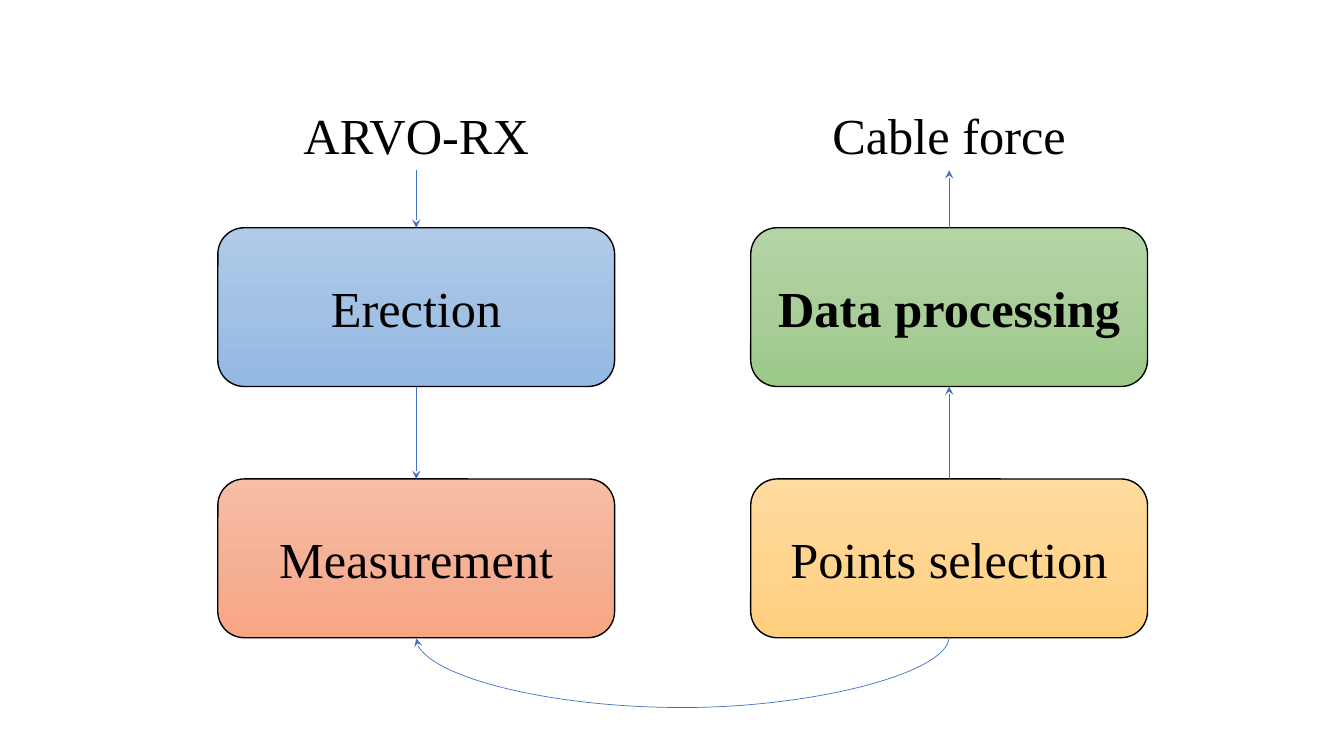
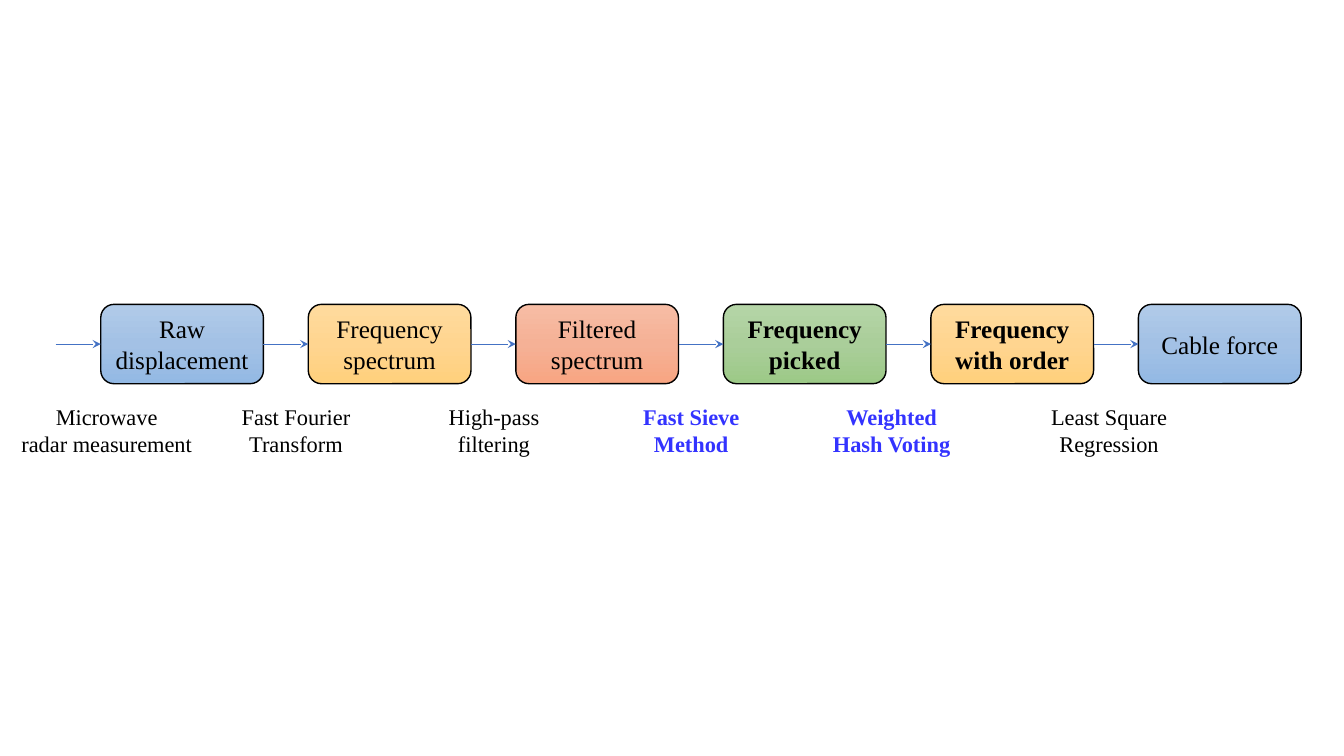
"""Build two flow diagrams about cable force measurement."""
from copy import deepcopy
from dataclasses import dataclass
from itertools import pairwise

from lxml import etree
from pptx import Presentation
from pptx.dml.color import RGBColor
from pptx.enum.shapes import MSO_CONNECTOR, MSO_SHAPE
from pptx.enum.text import MSO_ANCHOR, MSO_AUTO_SIZE, PP_ALIGN
from pptx.oxml.ns import qn
from pptx.shapes.autoshape import Shape
from pptx.shapes.connector import Connector
from pptx.slide import Slide
from pptx.util import Cm, Pt

ROUNDED = MSO_SHAPE.ROUNDED_RECTANGLE
STRAIGHT = MSO_CONNECTOR.STRAIGHT
CURVE = MSO_CONNECTOR.CURVE
MIDDLE = MSO_ANCHOR.MIDDLE
CENTER = PP_ALIGN.CENTER
FIT_SHAPE = MSO_AUTO_SIZE.SHAPE_TO_FIT_TEXT
TOP, LEFT, BOTTOM, RIGHT = range(4)

FONT = "Times New Roman"
BLACK = RGBColor(0x00, 0x00, 0x00)
ARROW_BLUE = RGBColor(0x44, 0x72, 0xC4)
ACCENT_BLUE = RGBColor(0x33, 0x33, 0xFF)

Gradient = tuple[RGBColor, RGBColor, RGBColor]
BLUE = (RGBColor(0xB1, 0xCB, 0xE9), RGBColor(0xA3, 0xC1, 0xE5), RGBColor(0x93, 0xB9, 0xE4))
GREEN = (RGBColor(0xB5, 0xD5, 0xA7), RGBColor(0xAA, 0xCE, 0x9A), RGBColor(0x9C, 0xC9, 0x87))
ORANGE = (RGBColor(0xF7, 0xBD, 0xA5), RGBColor(0xF5, 0xB1, 0x96), RGBColor(0xF8, 0xA5, 0x82))
YELLOW = (RGBColor(0xFF, 0xDB, 0x9E), RGBColor(0xFF, 0xD5, 0x90), RGBColor(0xFF, 0xD0, 0x7C))


@dataclass(frozen=True)
class Area:
    """A rectangle in centimetres."""

    left: float
    top: float
    width: float
    height: float

    def lengths(self) -> tuple[Cm, Cm, Cm, Cm]:
        """Return the rectangle as lengths."""
        return Cm(self.left), Cm(self.top), Cm(self.width), Cm(self.height)


@dataclass(frozen=True)
class Step:
    """A box of a flow diagram."""

    text: str
    gradient: Gradient
    bold: bool = False


@dataclass(frozen=True)
class Caption:
    """A method named below an arrow."""

    text: str
    center: float
    width: float
    color: RGBColor = BLACK
    bold: bool = False


COLUMN_LEFTS = (5.49, 18.92)
ROW_TOPS = (5.74, 12.07)
BOX_WIDTH, BOX_HEIGHT = 10.0, 4.0
HEADING_TOP, HEADING_HEIGHT = 2.49, 1.8
CURVE_OFFSET, CURVE_DEPTH = 0.04, 1.78
COLUMNS = (
    ("ARVO-RX", Step("Erection", BLUE), Step("Measurement", ORANGE)),
    ("Cable force", Step("Data processing", GREEN, True), Step("Points selection", YELLOW)),
)

CHAIN_LEFT, CHAIN_TOP, CHAIN_PITCH = 2.54, 7.67, 5.23
CHAIN_WIDTH, CHAIN_HEIGHT = 4.1, 2.0
ENTRY_LEFT = 1.4
CAPTION_TOP, CAPTION_HEIGHT = 10.03, 1.63
CHAIN = (
    Step("Raw displacement", BLUE),
    Step("Frequency spectrum", YELLOW),
    Step("Filtered spectrum", ORANGE),
    Step("Frequency picked", GREEN, True),
    Step("Frequency with order", YELLOW, True),
    Step("Cable force", BLUE),
)
CAPTIONS = (
    Caption("Microwave\vradar measurement", 2.69, 4.83),
    Caption("Fast Fourier Transform", 7.46, 3.84),
    Caption("High-pass filtering", 12.45, 3.3),
    Caption("Fast Sieve Method", 17.42, 2.95, ACCENT_BLUE, True),
    Caption("Weighted Hash Voting", 22.47, 3.84, ACCENT_BLUE, True),
    Caption("Least Square Regression", 27.95, 3.84),
)


def write_text(shape: Shape, text: str, size: int, color: RGBColor, bold: bool) -> None:
    """Write centred text into a shape."""
    text_frame = shape.text_frame
    text_frame.word_wrap = True
    text_frame.text = text
    paragraph = text_frame.paragraphs[0]
    paragraph.alignment = CENTER
    for run in paragraph.runs:
        run.font.name = FONT
        run.font.size = Pt(size)
        run.font.bold = bold
        run.font.color.rgb = color


def add_label(slide: Slide, area: Area, text: str, size: int,
              color: RGBColor = BLACK, bold: bool = False) -> Shape:
    """Add a text box."""
    label = slide.shapes.add_textbox(*area.lengths())
    write_text(label, text, size, color, bold)
    label.text_frame.auto_size = FIT_SHAPE
    return label


def fill_gradient(shape: Shape, gradient: Gradient) -> None:
    """Fill a shape from top to bottom with three colours."""
    shape.fill.gradient()
    shape.fill.gradient_angle = 270
    stop_list = shape._element.spPr.find(".//" + qn("a:gsLst"))
    stop_list.insert(1, deepcopy(stop_list[0]))
    for index, (stop, color) in enumerate(zip(shape.fill.gradient_stops, gradient)):
        stop.position = index / 2
        stop.color.rgb = color


def add_step(slide: Slide, area: Area, step: Step, size: int) -> Shape:
    """Add a rounded box with its name."""
    box = slide.shapes.add_shape(ROUNDED, *area.lengths())
    box.shadow.inherit = False
    fill_gradient(box, step.gradient)
    box.line.color.rgb = BLACK
    box.line.width = Pt(1)
    write_text(box, step.text, size, BLACK, step.bold)
    box.text_frame.vertical_anchor = MIDDLE
    return box


def style_arrow(connector: Connector) -> None:
    """Give a connector its line and arrowhead."""
    connector.line.color.rgb = ARROW_BLUE
    connector.line.width = Pt(0.5)
    line = connector.line._get_or_add_ln()
    etree.SubElement(line, qn("a:tailEnd"), type="stealth")
    etree.SubElement(connector._element.spPr, qn("a:effectLst"))


def connect(slide: Slide, start: Shape, start_site: int, end: Shape, end_site: int,
            kind: MSO_CONNECTOR = STRAIGHT) -> Connector:
    """Join two shapes with an arrow."""
    connector = slide.shapes.add_connector(kind, 0, 0, 0, 0)
    connector.begin_connect(start, start_site)
    connector.end_connect(end, end_site)
    style_arrow(connector)
    return connector


def connect_below(slide: Slide, start: Shape, end: Shape) -> None:
    """Join the bottoms of two shapes with a hanging curve."""
    connector = connect(slide, start, BOTTOM, end, BOTTOM, CURVE)
    span = end.left - start.left
    middle = start.left + (start.width + span) // 2
    bottom = start.top + start.height
    connector.width, connector.height = Cm(CURVE_OFFSET), span
    connector.left = middle - connector.width // 2
    connector.top = bottom - span // 2
    properties = connector._element.spPr
    transform = properties.find(qn("a:xfrm"))
    transform.set("rot", "16200000")
    transform.set("flipH", "1")
    geometry = properties.find(qn("a:prstGeom"))
    adjustments = geometry.find(qn("a:avLst"))
    if adjustments is None:
        adjustments = etree.SubElement(geometry, qn("a:avLst"))
    depth = round(CURVE_DEPTH / CURVE_OFFSET * 100000)
    etree.SubElement(adjustments, qn("a:gd"), name="adj1", fmla=f"val {depth}")


def draw_workflow(slide: Slide) -> None:
    """Draw the two columns of the measuring workflow."""
    columns = []
    for left, (heading, *steps) in zip(COLUMN_LEFTS, COLUMNS):
        heading_area = Area(left, HEADING_TOP, BOX_WIDTH, HEADING_HEIGHT)
        column = [add_label(slide, heading_area, heading, 36)]
        for top, step in zip(ROW_TOPS, steps):
            column.append(add_step(slide, Area(left, top, BOX_WIDTH, BOX_HEIGHT), step, 36))
        columns.append(column)
    down, up = columns
    for upper, lower in pairwise(down):
        connect(slide, upper, BOTTOM, lower, TOP)
    for upper, lower in pairwise(up):
        connect(slide, lower, TOP, upper, BOTTOM)
    connect_below(slide, down[-1], up[-1])


def draw_chain(slide: Slide) -> None:
    """Draw the chain of data processing steps."""
    boxes = []
    for index, step in enumerate(CHAIN):
        left = CHAIN_LEFT + index * CHAIN_PITCH
        boxes.append(add_step(slide, Area(left, CHAIN_TOP, CHAIN_WIDTH, CHAIN_HEIGHT), step, 18))
    middle = Cm(CHAIN_TOP + CHAIN_HEIGHT / 2)
    entry = slide.shapes.add_connector(STRAIGHT, Cm(ENTRY_LEFT), middle, Cm(CHAIN_LEFT), middle)
    entry.end_connect(boxes[0], LEFT)
    style_arrow(entry)
    for start, end in pairwise(boxes):
        connect(slide, start, RIGHT, end, LEFT)
    for caption in CAPTIONS:
        left = caption.center - caption.width / 2
        area = Area(left, CAPTION_TOP, caption.width, CAPTION_HEIGHT)
        add_label(slide, area, caption.text, 16, caption.color, caption.bold)


def main() -> None:
    """Build and save the presentation."""
    presentation = Presentation()
    presentation.slide_width, presentation.slide_height = Cm(33.87), Cm(19.05)
    for draw in (draw_workflow, draw_chain):
        draw(presentation.slides.add_slide(presentation.slide_layouts[6]))
    presentation.save("out.pptx")


if __name__ == "__main__":
    main()
